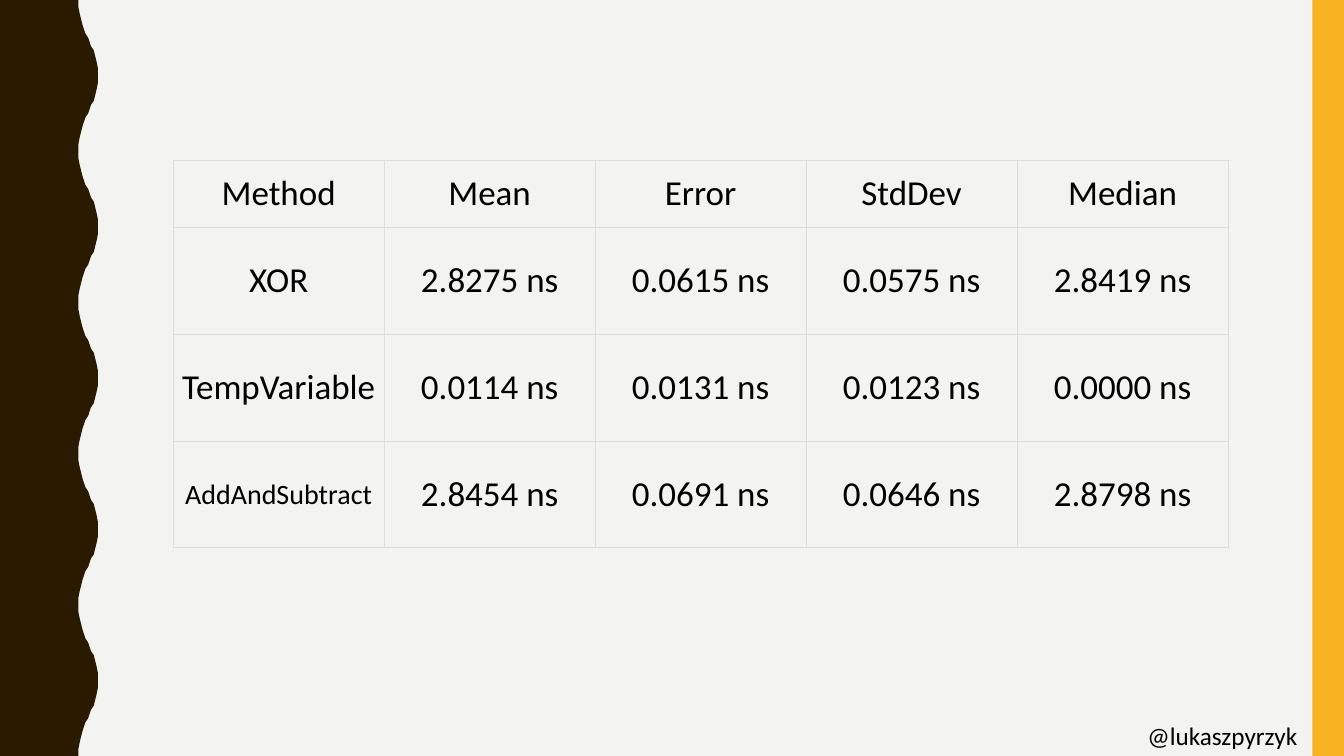
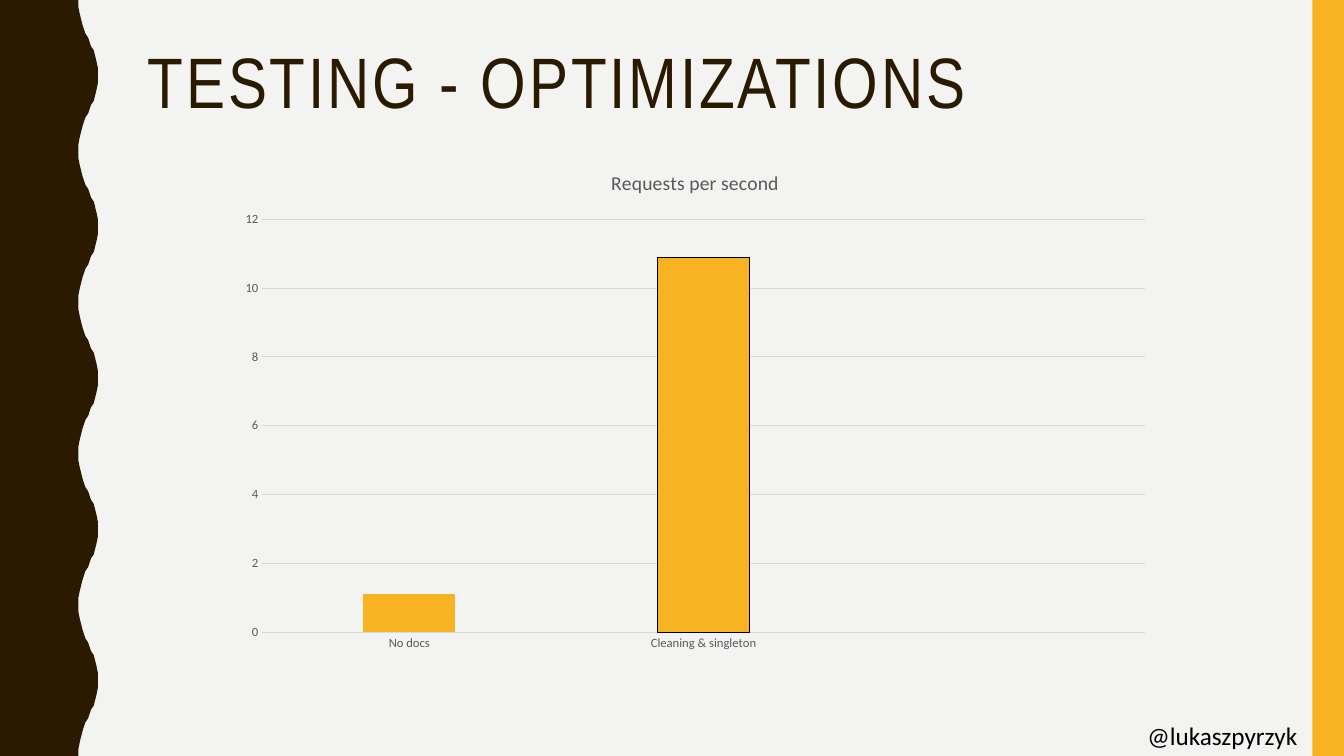
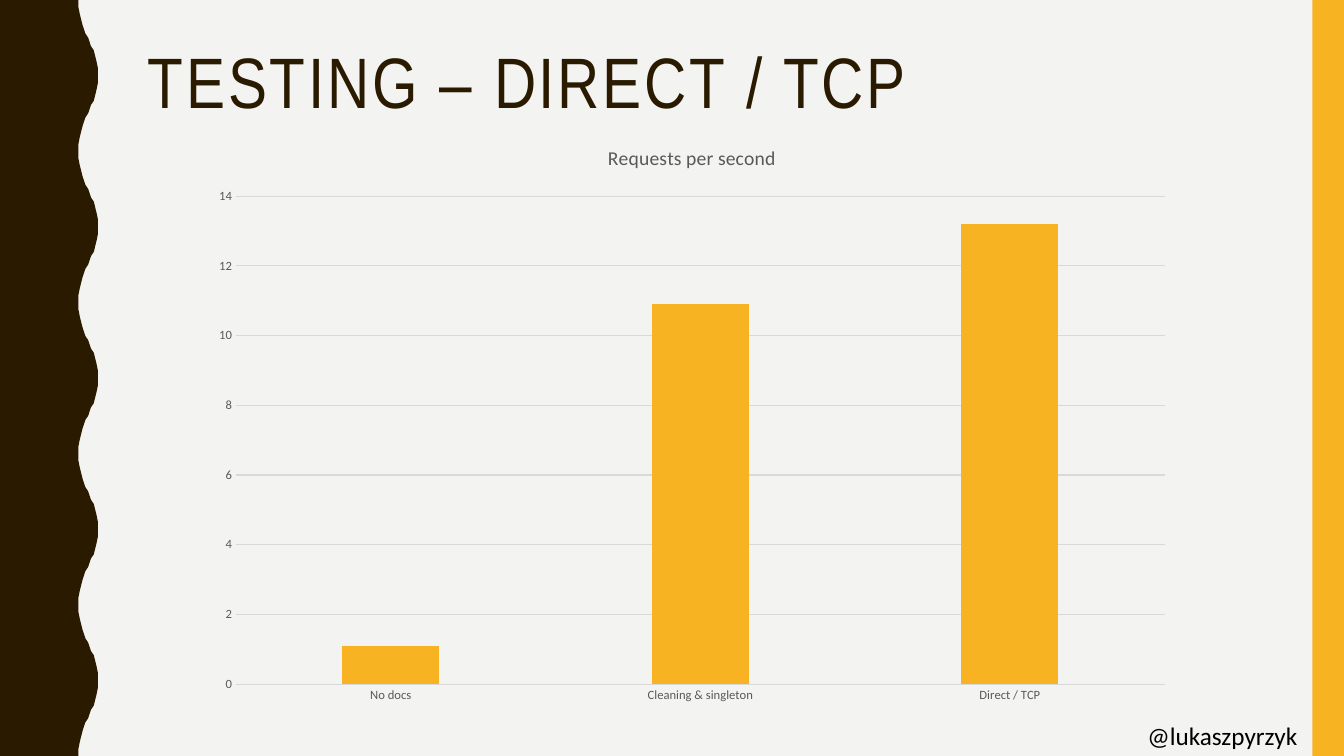
from lxml import etree
from pptx import Presentation
from pptx.chart.data import CategoryChartData
from pptx.dml.color import RGBColor
from pptx.enum.chart import XL_CHART_TYPE, XL_TICK_MARK
from pptx.enum.shapes import MSO_SHAPE
from pptx.enum.text import MSO_ANCHOR, PP_ALIGN
from pptx.oxml.ns import qn
from pptx.util import Pt

COLUMNS = XL_CHART_TYPE.COLUMN_CLUSTERED
NO_TICKS = XL_TICK_MARK.NONE
RECTANGLE = MSO_SHAPE.RECTANGLE
MIDDLE = MSO_ANCHOR.MIDDLE
CENTER = PP_ALIGN.CENTER

PAPER = RGBColor(0xF3, 0xF3, 0xF2)
BROWN = RGBColor(0x2A, 0x1A, 0x00)
AMBER = RGBColor(0xF8, 0xB3, 0x23)
BLACK = RGBColor(0x00, 0x00, 0x00)
GRAY = RGBColor(0x59, 0x59, 0x59)
GRID = RGBColor(0xD9, 0xD9, 0xD9)
BORDER = RGBColor(0xDD, 0xDD, 0xDD)

TITLE_FONT = "Arial Narrow"
BODY_FONT = "Calibri"
WIDTH, HEIGHT = 960, 540

# Wave edge: one half crest, mirrored and repeated down the slide
CREST_COUNT = 5
CREST = HEIGHT / CREST_COUNT
HALF_CREST = [
    (56, 0), (56.3, 5), (57, 10), (57.8, 14.4), (58.7, 18), (60, 21),
    (61.2, 24), (62.6, 27), (64, 30), (65.3, 33), (66.8, 36), (68, 39.6),
    (69, 44), (69.6, 49), (69.8, 54),
]
FULL_CREST = HALF_CREST + [(x, CREST - y) for x, y in HALF_CREST[-2::-1]]
WAVE = [(x, y + CREST * i) for i in range(CREST_COUNT) for x, y in FULL_CREST]

METHODS = [
    ["Method", "Mean", "Error", "StdDev", "Median"],
    ["XOR", "2.8275 ns", "0.0615 ns", "0.0575 ns", "2.8419 ns"],
    ["TempVariable", "0.0114 ns", "0.0131 ns", "0.0123 ns", "0.0000 ns"],
    ["AddAndSubtract", "2.8454 ns", "0.0691 ns", "0.0646 ns", "2.8798 ns"],
]
ROW_HEIGHTS = [48, 76.3, 76.3, 76.3]
COLUMN_WIDTH = 150.7

# Title, chart box, axis maximum, categories, values, outlined bar
CHART_SLIDES = [
    ("TESTING - OPTIMIZATIONS", (162, 107.3, 669, 365), 12,
     ["No docs", "Cleaning & singleton", ""], [1.1, 10.9, None], 1),
    ("TESTING – DIRECT / TCP", (142.5, 88.5, 703.5, 422), 14,
     ["No docs", "Cleaning & singleton", "Direct / TCP"], [1.1, 10.9, 13.2], None),
]


def style_font(font, size, color, name=BODY_FONT):
    font.size = Pt(size)
    font.name = name
    font.bold = False
    font.color.rgb = color


def add_text(slide, box, text, size, color, name=BODY_FONT):
    frame = slide.shapes.add_textbox(*map(Pt, box)).text_frame
    frame.word_wrap = True
    paragraph = frame.paragraphs[0]
    run = paragraph.add_run()
    run.text = text
    style_font(run.font, size, color, name)
    return paragraph


presentation = Presentation()
presentation.slide_width = Pt(WIDTH)
presentation.slide_height = Pt(HEIGHT)
background = presentation.slide_master.background.fill
background.solid()
background.fore_color.rgb = PAPER

# Shared frame: wave, side band and handle
for _ in range(1 + len(CHART_SLIDES)):
    slide = presentation.slides.add_slide(presentation.slide_layouts[6])
    outline = slide.shapes.build_freeform(0, 0, scale=Pt(1))
    outline.add_line_segments(WAVE + [(0, HEIGHT)], close=True)
    wave = outline.convert_to_shape()
    band = slide.shapes.add_shape(RECTANGLE, Pt(937.5), Pt(0), Pt(22.5), Pt(HEIGHT))
    for shape, color in ((wave, BROWN), (band, AMBER)):
        shape.shadow.inherit = False
        shape.fill.solid()
        shape.fill.fore_color.rgb = color
        shape.line.fill.background()
    add_text(slide, (812.4, 511, 147.6, 29), "@lukaszpyrzyk", 18, BLACK)

table_slide, *chart_slides = presentation.slides

# Benchmark table
table = table_slide.shapes.add_table(
    len(METHODS), len(METHODS[0]), Pt(123.7), Pt(114.5),
    Pt(COLUMN_WIDTH * len(METHODS[0])), Pt(sum(ROW_HEIGHTS))).table
table.first_row = False
table.horz_banding = False
for column in table.columns:
    column.width = Pt(COLUMN_WIDTH)
for row, height, texts in zip(table.rows, ROW_HEIGHTS, METHODS):
    row.height = Pt(height)
    for cell, text in zip(row.cells, texts):
        cell.vertical_anchor = MIDDLE
        cell.margin_left = cell.margin_right = Pt(5.75)
        cell.margin_top = cell.margin_bottom = Pt(2.9)
        properties = cell._tc.get_or_add_tcPr()
        for side in ("lnL", "lnR", "lnT", "lnB"):
            line = etree.SubElement(properties, qn(f"a:{side}"), w=str(Pt(0.75)))
            fill = etree.SubElement(line, qn("a:solidFill"))
            etree.SubElement(fill, qn("a:srgbClr"), val=str(BORDER))
        cell.fill.background()
        paragraph = cell.text_frame.paragraphs[0]
        paragraph.alignment = CENTER
        run = paragraph.add_run()
        run.text = text
        style_font(run.font, 20 if text == "AddAndSubtract" else 25, BLACK)

# Titles and column charts
for slide, (title, box, maximum, categories, values, outlined) in zip(
        chart_slides, CHART_SLIDES):
    paragraph = add_text(slide, (98.6, 30, 801.4, 117.5), title, 51, BROWN, TITLE_FONT)
    paragraph.line_spacing = 0.9
    paragraph.runs[0].font._element.set("spc", "200")

    data = CategoryChartData()
    data.categories = categories
    data.add_series("Requests per second", values)
    chart = slide.shapes.add_chart(COLUMNS, *map(Pt, box), data).chart
    style_font(chart.font, 10, BLACK)
    chart.has_legend = False
    chart.has_title = True
    run = chart.chart_title.text_frame.paragraphs[0].add_run()
    run.text = "Requests per second"
    style_font(run.font, 14, GRAY)
    chart.chart_title.include_in_layout = False

    plot = chart.plots[0]
    plot.gap_width = 219
    plot.overlap = -27
    plot.vary_by_categories = False
    series = plot.series[0]
    series.format.fill.solid()
    series.format.fill.fore_color.rgb = AMBER
    if outlined is not None:
        bar = series.points[outlined].format
        bar.fill.solid()
        bar.fill.fore_color.rgb = AMBER
        bar.line.color.rgb = BLACK
        bar.line.width = Pt(0.75)

    for axis in (chart.category_axis, chart.value_axis):
        axis.major_tick_mark = NO_TICKS
        axis.minor_tick_mark = NO_TICKS
        style_font(axis.tick_labels.font, 9, GRAY)
    value_axis = chart.value_axis
    value_axis.minimum_scale = 0
    value_axis.maximum_scale = maximum
    value_axis.major_unit = 2
    value_axis.format.line.fill.background()
    for line in (chart.category_axis.format.line, value_axis.major_gridlines.format.line):
        line.color.rgb = GRID
        line.width = Pt(0.75)

presentation.save("out.pptx")
